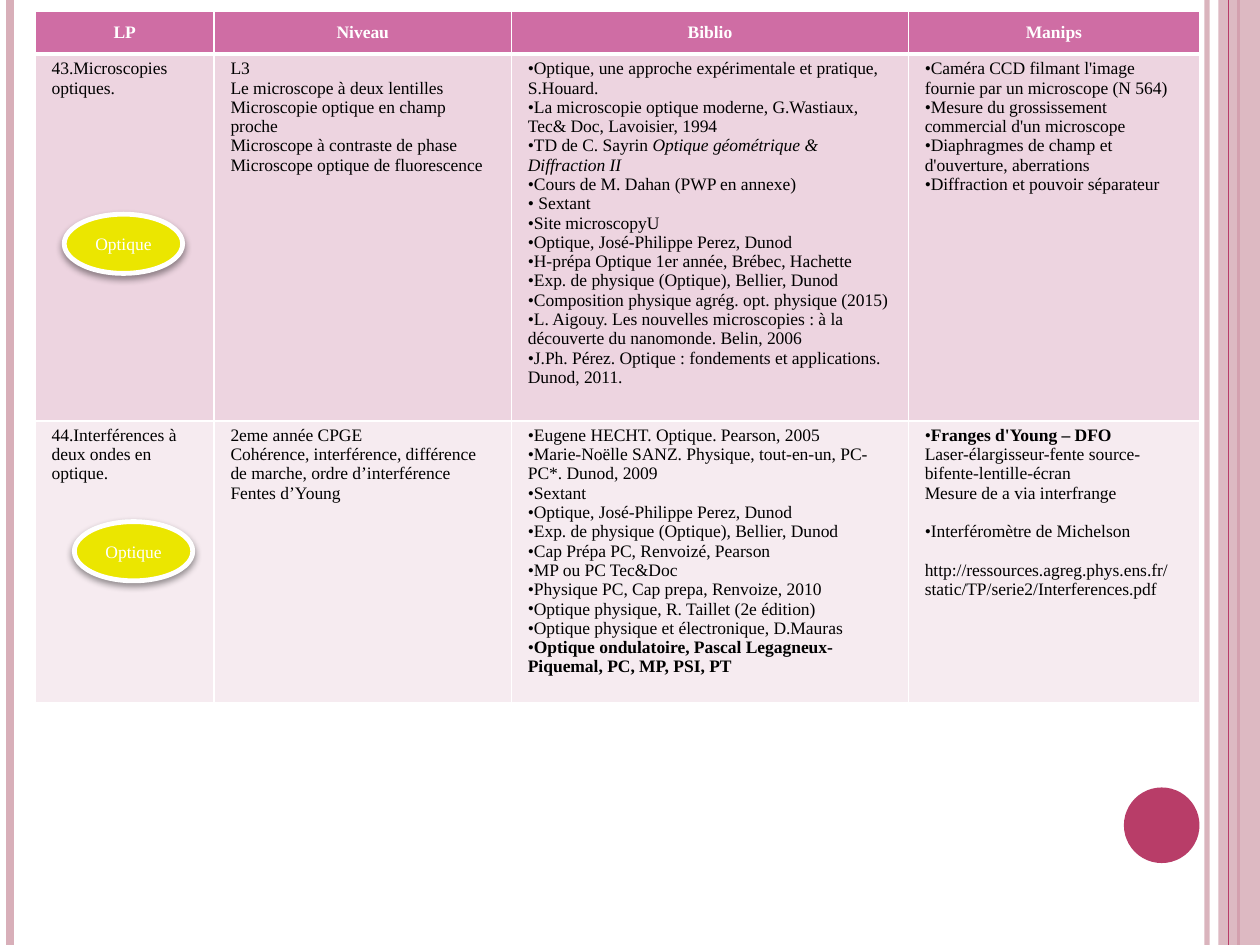
from lxml import etree
from pptx import Presentation, util as u
from pptx.dml.color import RGBColor
from pptx.enum import shapes, text
from pptx.oxml import parse_xml
from pptx.oxml.ns import nsdecls, qn

WHITE, BLACK = RGBColor(255, 255, 255), RGBColor(0, 0, 0)
ROSE, RASPBERRY = RGBColor(0xD8, 0xAF, 0xB9), RGBColor(0xB8, 0x3D, 0x68)
YELLOW = RGBColor(0xEB, 0xE6, 0x00)
ROW_FILLS = [RGBColor(0xCF, 0x6D, 0xA4), RGBColor(0xED, 0xD4, 0xE0), RGBColor(0xF6, 0xEB, 0xF0)]
FONT, SIZE = "Times New Roman", u.Pt(10)
WIDTH, HEIGHT = 10, 7.5
GAP = None  # one line of space above the next paragraph

# Content: "•" opens a bullet, "**" a bold paragraph, "|" an italic ending
HEADER = [["LP"], ["Niveau"], ["Biblio"], ["Manips"]]
MICROSCOPY = [
    ["43.Microscopies optiques."],
    ["L3",
     "Le microscope à deux lentilles",
     "Microscopie optique en champ proche",
     "Microscope à contraste de phase",
     "Microscope optique de fluorescence"],
    ["•Optique, une approche expérimentale et pratique, S.Houard.",
     "•La microscopie optique moderne, G.Wastiaux,",
     "Tec& Doc, Lavoisier, 1994",
     "•TD de C. Sayrin |Optique géométrique & Diffraction II",
     "•Cours de M. Dahan (PWP en annexe)",
     "• Sextant",
     "•Site microscopyU",
     "•Optique, José-Philippe Perez, Dunod",
     "•H-prépa Optique 1er année, Brébec, Hachette",
     "•Exp. de physique (Optique), Bellier, Dunod",
     "•Composition physique agrég. opt. physique (2015)",
     "•L. Aigouy. Les nouvelles microscopies : à la découverte du nanomonde. Belin, 2006",
     "•J.Ph. Pérez. Optique : fondements et applications. Dunod, 2011."],
    ["•Caméra CCD filmant l'image fournie par un microscope (N 564)",
     "•Mesure du grossissement commercial d'un microscope",
     "•Diaphragmes de champ et d'ouverture, aberrations",
     "•Diffraction et pouvoir séparateur"],
]
INTERFERENCE = [
    ["44.Interférences à deux ondes en optique."],
    ["2eme année CPGE",
     "Cohérence, interférence, différence de marche, ordre d’interférence",
     "Fentes d’Young"],
    ["•Eugene HECHT. Optique. Pearson, 2005",
     "•Marie-Noëlle SANZ. Physique, tout-en-un, PC-PC*. Dunod, 2009",
     "•Sextant",
     "•Optique, José-Philippe Perez, Dunod",
     "•Exp. de physique (Optique), Bellier, Dunod",
     "•Cap Prépa PC, Renvoizé, Pearson",
     "•MP ou PC Tec&Doc",
     "•Physique PC, Cap prepa, Renvoize, 2010",
     "•Optique physique, R. Taillet (2e édition)",
     "•Optique physique et électronique, D.Mauras",
     "**•Optique ondulatoire, Pascal Legagneux-Piquemal, PC, MP, PSI, PT"],
    ["**•Franges d'Young – DFO",
     "Laser-élargisseur-fente source-bifente-lentille-écran",
     "Mesure de a via interfrange",
     GAP,
     "•Interféromètre de Michelson",
     GAP,
     "http://ressources.agreg.phys.ens.fr/static/TP/serie2/Interferences.pdf"],
]
TYPED_DOTS = {"• Sextant", "•Site microscopyU"}  # the dot belongs to the text
ROWS = [HEADER, MICROSCOPY, INTERFERENCE]
COLUMN_WIDTHS = [1.42, 2.36, 3.15, 2.31]
ROW_HEIGHTS = [0.34, 2.91, 2.24]
TABLE_LEFT, TABLE_TOP = 0.28, 0.09
TOPIC, TOPIC_PLACES = "Optique", [(0.59, 4.14), (0.51, 1.7)]


def set_font(paragraph, color, bold=False):
    font = paragraph.font
    font.name, font.size, font.bold = FONT, SIZE, bold
    font.color.rgb = color


def set_alpha(fill_parent, percent):
    color = fill_parent.find(".//" + qn("a:srgbClr"))
    etree.SubElement(color, qn("a:alpha"), val=str(percent * 1000))


def add_rule(slide, x, color, width, alpha=None):
    rule = slide.shapes.add_connector(shapes.MSO_CONNECTOR.STRAIGHT, u.Inches(x), 0,
                                      u.Inches(x), u.Inches(HEIGHT))
    rule.line.color.rgb, rule.line.width = color, u.Pt(width)
    properties = rule._element.spPr
    if alpha:
        set_alpha(properties, alpha)
    etree.SubElement(properties, qn("a:effectLst"))


def add_block(slide, kind, left, top, width, height, color):
    block = slide.shapes.add_shape(kind, *map(u.Inches, (left, top, width, height)))
    block.shadow.inherit = False
    block.fill.solid()
    block.fill.fore_color.rgb = color
    block.line.fill.background()
    return block


def add_bullet(paragraph):
    properties = paragraph._p.get_or_add_pPr()
    properties.set("marL", "0")
    properties.set("indent", "0")
    etree.SubElement(properties, qn("a:buFont"), typeface=FONT)
    etree.SubElement(properties, qn("a:buChar"), char="•")


def write_paragraphs(frame, lines, color, header):
    paragraph, gap = frame.paragraphs[0], False
    for number, line in enumerate(lines):
        if line is GAP:
            gap = True
            continue
        if number:
            paragraph = frame.add_paragraph()
        if gap:
            paragraph.space_before, gap = u.Pt(11), False
        bold = header or line.startswith("**")
        line = line.removeprefix("**")
        if header:
            paragraph.alignment = text.PP_ALIGN.CENTER
        if line.startswith("•") and line not in TYPED_DOTS:
            add_bullet(paragraph)
            line = line.removeprefix("•")
        set_font(paragraph, color, bold)
        plain, _, italic = line.partition("|")
        paragraph.add_run().text = plain
        if italic:
            run = paragraph.add_run()
            run.text, run.font.italic = italic, True


def add_borders(cell, row):
    widths = {"lnL": 1, "lnR": 1, "lnT": 3 if row == 1 else 1, "lnB": 3 if row == 0 else 1}
    for side, width in widths.items():
        cell._tc.get_or_add_tcPr().append(parse_xml(
            f'<a:{side} {nsdecls("a")} w="{u.Pt(width)}"><a:solidFill>'
            f'<a:srgbClr val="{WHITE}"/></a:solidFill></a:{side}>'))


def add_course_table(slide):
    table = slide.shapes.add_table(
        len(ROWS), len(COLUMN_WIDTHS), u.Inches(TABLE_LEFT), u.Inches(TABLE_TOP),
        u.Inches(sum(COLUMN_WIDTHS)), u.Inches(sum(ROW_HEIGHTS))).table
    for column, width in zip(table.columns, COLUMN_WIDTHS):
        column.width = u.Inches(width)
    for r, (cells, height, color) in enumerate(zip(ROWS, ROW_HEIGHTS, ROW_FILLS)):
        table.rows[r].height = u.Inches(height)
        for c, lines in enumerate(cells):
            cell = table.cell(r, c)
            cell.margin_left = cell.margin_right = u.Inches(0.13)
            cell.margin_top = cell.margin_bottom = u.Inches(0.04)
            cell.vertical_anchor = text.MSO_ANCHOR.TOP if r else text.MSO_ANCHOR.MIDDLE
            add_borders(cell, r)
            cell.fill.solid()
            cell.fill.fore_color.rgb = color
            write_paragraphs(cell.text_frame, lines, BLACK if r else WHITE, r == 0)


def add_topic(slide, left, top):
    topic = add_block(slide, shapes.MSO_SHAPE.OVAL, left, top, 0.94, 0.47, YELLOW)
    topic.line.color.rgb, topic.line.width = WHITE, u.Pt(2.75)
    effects = topic._element.spPr.find(qn("a:effectLst"))
    effects.append(parse_xml(
        f'<a:outerShdw {nsdecls("a")} blurRad="{u.Pt(4)}" dist="{u.Pt(2)}" dir="5400000" '
        f'rotWithShape="0"><a:srgbClr val="{BLACK}"><a:alpha val="40000"/></a:srgbClr></a:outerShdw>'))
    frame = topic.text_frame
    frame.vertical_anchor = text.MSO_ANCHOR.MIDDLE
    label = frame.paragraphs[0]
    label.alignment = text.PP_ALIGN.CENTER
    set_font(label, WHITE)
    label.add_run().text = TOPIC


def main():
    deck = Presentation()
    deck.slide_width, deck.slide_height = u.Inches(WIDTH), u.Inches(HEIGHT)
    slide = deck.slides.add_slide(deck.slide_layouts[6])

    # Side bands and round badge
    add_rule(slide, 9.58, ROSE, 3, 93)
    add_rule(slide, 0.08, ROSE, 4.5)
    add_rule(slide, 9.83, RASPBERRY, 1.5)
    band = add_block(slide, shapes.MSO_SHAPE.RECTANGLE, 9.67, 0, 0.33, HEIGHT, ROSE)
    set_alpha(band._element.spPr, 87)
    add_rule(slide, 9.75, RASPBERRY, 0.75)
    add_block(slide, shapes.MSO_SHAPE.OVAL, 8.92, 6.25, 0.6, 0.6, RASPBERRY)

    # Course table and topic labels
    add_course_table(slide)
    for left, top in TOPIC_PLACES:
        add_topic(slide, left, top)
    deck.save("out.pptx")


if __name__ == "__main__":
    main()
